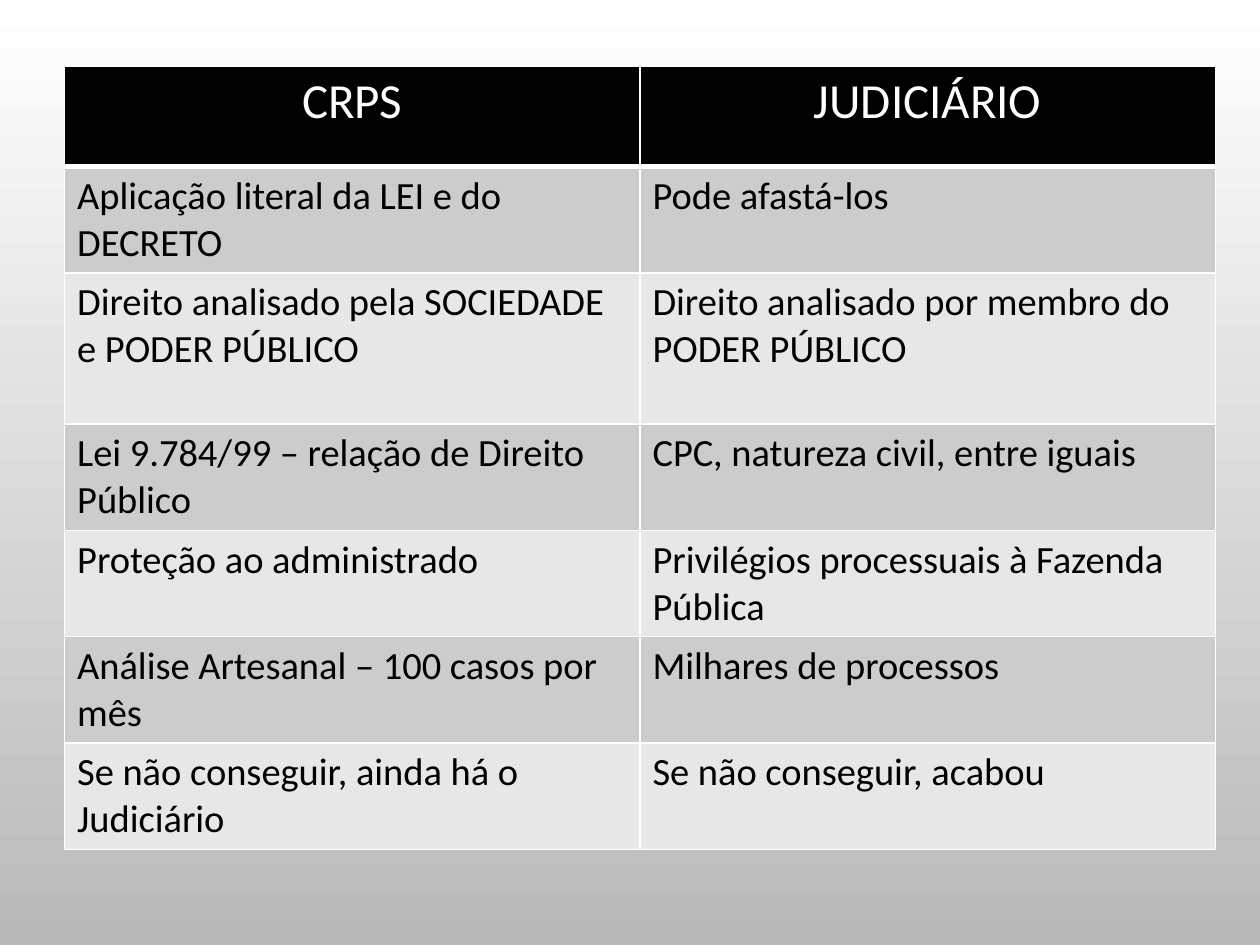
from lxml import etree
from pptx import Presentation
from pptx.dml.color import RGBColor
from pptx.enum.text import PP_ALIGN
from pptx.oxml.ns import qn
from pptx.util import Pt

CENTER, LEFT = PP_ALIGN.CENTER, PP_ALIGN.LEFT
WHITE = RGBColor(0xFF, 0xFF, 0xFF)
BLACK = RGBColor(0, 0, 0)
GREY = RGBColor(0xB9, 0xB9, 0xB9)
DARK = RGBColor(0xCC, 0xCC, 0xCC)
LIGHT = RGBColor(0xE7, 0xE7, 0xE7)

ROWS = [
    ("CRPS", "JUDICIÁRIO"),
    ("Aplicação literal da LEI e do DECRETO", "Pode afastá-los"),
    ("Direito analisado pela SOCIEDADE e PODER PÚBLICO",
     "Direito analisado por membro do PODER PÚBLICO"),
    ("Lei 9.784/99 – relação de Direito Público ",
     "CPC, natureza civil, entre iguais"),
    ("Proteção ao administrado", "Privilégios processuais à Fazenda Pública"),
    ("Análise Artesanal – 100 casos por mês", "Milhares de processos"),
    ("Se não conseguir, ainda há o Judiciário", "Se não conseguir, acabou"),
]
HEIGHTS = [57.6, 60, 86.4, 60, 60, 60, 60]
WIDTH = 328.8


def add_edge(cell, side, width):
    """Draw a white border on one side of a cell."""
    props = cell._tc.get_or_add_tcPr()
    line = etree.SubElement(props, qn("a:ln" + side), w=str(Pt(width)))
    fill = etree.SubElement(line, qn("a:solidFill"))
    etree.SubElement(fill, qn("a:srgbClr"), val=str(WHITE))


deck = Presentation()
deck.slide_width, deck.slide_height = Pt(720), Pt(540)
slide = deck.slides.add_slide(deck.slide_layouts[6])

back = slide.background.fill
back.gradient()
back.gradient_angle = 270
for stop, color in zip(back.gradient_stops, (WHITE, GREY)):
    stop.color.rgb = color

table = slide.shapes.add_table(
    len(ROWS), 2, Pt(36.9), Pt(37.6), Pt(2 * WIDTH), Pt(sum(HEIGHTS))).table
for col in table.columns:
    col.width = Pt(WIDTH)

for r, texts in enumerate(ROWS):
    table.rows[r].height = Pt(HEIGHTS[r])
    head = r == 0
    for c, text in enumerate(texts):
        cell = table.cell(r, c)
        for side in "LRTB":
            add_edge(cell, side, 3 if head and side == "B" else 1)
        cell.fill.solid()
        cell.fill.fore_color.rgb = BLACK if head else (LIGHT, DARK)[r % 2]
        cell.text = text
        para = cell.text_frame.paragraphs[0]
        para.alignment = CENTER if head else LEFT
        para.font.name = "Calibri"
        para.font.size = Pt(28 if head else 22)
        para.font.bold = False
        para.font.color.rgb = WHITE if head else BLACK

deck.save("out.pptx")
